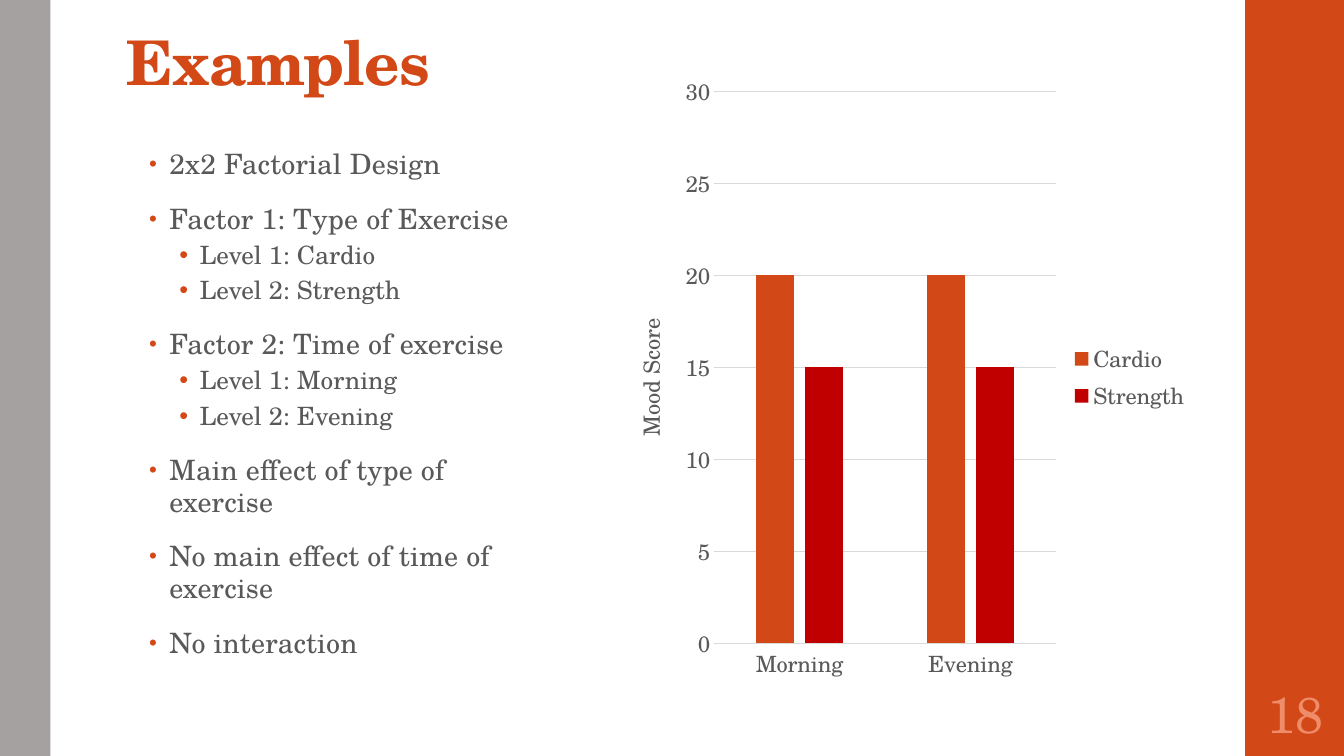
from dataclasses import dataclass

from lxml import etree
from pptx import Presentation
from pptx.chart.data import CategoryChartData
from pptx.dml.color import RGBColor
from pptx.enum.chart import XL_CHART_TYPE, XL_LEGEND_POSITION, XL_TICK_MARK
from pptx.enum.shapes import MSO_SHAPE
from pptx.enum.text import MSO_ANCHOR, MSO_AUTO_SIZE, PP_ALIGN
from pptx.oxml.ns import qn
from pptx.util import Inches, Pt

RECTANGLE = MSO_SHAPE.RECTANGLE
CLUSTERED = XL_CHART_TYPE.COLUMN_CLUSTERED
LEGEND_RIGHT = XL_LEGEND_POSITION.RIGHT
NO_TICK = XL_TICK_MARK.NONE
BOTTOM, MIDDLE, TOP = MSO_ANCHOR.BOTTOM, MSO_ANCHOR.MIDDLE, MSO_ANCHOR.TOP
CENTER = PP_ALIGN.CENTER
NO_FIT = MSO_AUTO_SIZE.NONE


@dataclass(frozen=True)
class Theme:
    font: str = "TeX Gyre Schola"
    accent: str = "D34817"
    red: str = "C00000"
    grey: str = "A6A1A1"
    text: str = "595959"
    rule: str = "D9D9D9"
    number: str = "EF8C6A"
    title_size: int = 44
    number_size: int = 36
    chart_size: int = 16


@dataclass(frozen=True)
class Area:
    left: float
    top: float
    width: float
    height: float


@dataclass(frozen=True)
class Band:
    area: Area
    color: str


@dataclass(frozen=True)
class Level:
    size: int
    indent: float
    line: float
    before: int
    after: int
    bullet_percent: int
    tracking: int


@dataclass(frozen=True)
class Point:
    text: str
    level: int = 0


@dataclass(frozen=True)
class Series:
    name: str
    values: tuple[int, ...]
    color: str


THEME = Theme()
BANDS = (
    Band(Area(12.35, 0, 1, 7.5), THEME.accent),
    Band(Area(0, 0, 0.5, 7.5), THEME.grey),
)
LEVELS = (
    Level(20, 0.2, 0.95, 14, 2, 80, 10),
    Level(18, 0.5, 0.9, 3, 3, 100, 0),
)
POINTS = (
    Point("2x2 Factorial Design"),
    Point("Factor 1: Type of Exercise"),
    Point("Level 1: Cardio", 1),
    Point("Level 2: Strength", 1),
    Point("Factor 2: Time of exercise"),
    Point("Level 1: Morning", 1),
    Point("Level 2: Evening", 1),
    Point("Main effect of type of exercise"),
    Point("No main effect of time of exercise"),
    Point("No interaction"),
)
TIMES = ("Morning", "Evening")
SERIES = (
    Series("Cardio", (20, 20), THEME.accent),
    Series("Strength", (15, 15), THEME.red),
)


def rgb(color: str) -> RGBColor:
    return RGBColor.from_string(color)


def style_font(font, size: int, color: str, bold: bool = False) -> None:
    font.name = THEME.font
    font.size = Pt(size)
    font.bold = bold
    font.color.rgb = rgb(color)


def place(box, area: Area) -> None:
    box.left, box.top = Inches(area.left), Inches(area.top)
    box.width, box.height = Inches(area.width), Inches(area.height)


def set_frame(frame, anchor, left: float, top: float, right: float, bottom: float) -> None:
    frame.word_wrap = True
    frame.auto_size = NO_FIT
    frame.vertical_anchor = anchor
    frame.margin_left, frame.margin_top = Inches(left), Inches(top)
    frame.margin_right, frame.margin_bottom = Inches(right), Inches(bottom)


def add_span(para, text: str, size: int, color: str, bold: bool = False, tracking: int = 0) -> None:
    span = para.add_run()
    span.text = text
    style_font(span.font, size, color, bold)
    span._r.get_or_add_rPr().set("spc", str(tracking))


def add_bullet(para, level: Level) -> None:
    properties = para._p.get_or_add_pPr()
    properties.set("marL", str(Inches(level.indent)))
    properties.set("indent", str(Inches(-0.2)))
    color = etree.SubElement(properties, qn("a:buClr"))
    etree.SubElement(color, qn("a:srgbClr"), val=THEME.accent)
    etree.SubElement(properties, qn("a:buSzPct"), val=str(level.bullet_percent * 1000))
    etree.SubElement(properties, qn("a:buFont"), typeface="Arial")
    etree.SubElement(properties, qn("a:buChar"), char="•")


def add_band(page, band: Band) -> None:
    box = page.shapes.add_shape(RECTANGLE, 0, 0, 0, 0)
    place(box, band.area)
    box.shadow.inherit = False
    box.fill.solid()
    box.fill.fore_color.rgb = rgb(band.color)
    box.line.fill.background()


def fill_title(page) -> None:
    box = page.shapes.title
    place(box, Area(1.15, -0.5, 10.6, 1.53))
    set_frame(box.text_frame, BOTTOM, 0.1, 0.03, 0.1, 0.05)
    para = box.text_frame.paragraphs[0]
    para.alignment = PP_ALIGN.LEFT
    para.line_spacing = 0.9
    add_span(para, "Examples", THEME.title_size, THEME.accent, True, -50)


def fill_body(page) -> None:
    box = page.placeholders[1]
    place(box, Area(1.38, 1.43, 4.22, 5.32))
    frame = box.text_frame
    set_frame(frame, TOP, 0.1, 0.05, 0.2, 0.05)
    for index, point in enumerate(POINTS):
        para = frame.add_paragraph() if index else frame.paragraphs[0]
        level = LEVELS[point.level]
        para.level = point.level
        para.line_spacing = level.line
        para.space_before, para.space_after = Pt(level.before), Pt(level.after)
        add_bullet(para, level)
        add_span(para, point.text, level.size, THEME.text, tracking=level.tracking)


def add_page_number(page) -> None:
    box = page.shapes.add_textbox(0, 0, 0, 0)
    place(box, Area(12.35, 6.75, 1, 0.65))
    set_frame(box.text_frame, MIDDLE, 0.05, 0.05, 0.05, 0.05)
    para = box.text_frame.paragraphs[0]
    para.alignment = CENTER
    add_span(para, "18", THEME.number_size, THEME.number)


def add_mood_chart(page) -> None:
    data = CategoryChartData()
    data.categories = TIMES
    for series in SERIES:
        data.add_series(series.name, series.values)
    box = page.shapes.add_chart(CLUSTERED, 0, 0, 0, 0, data)
    place(box, Area(6.05, 0.62, 5.85, 6.25))
    chart = box.chart
    chart.has_title = False
    style_font(chart.font, THEME.chart_size, THEME.text)
    chart.has_legend = True
    chart.legend.position = LEGEND_RIGHT
    chart.legend.include_in_layout = False
    style_font(chart.legend.font, THEME.chart_size, THEME.text)

    plot = chart.plots[0]
    plot.gap_width, plot.overlap = 219, -27
    plot.vary_by_categories = False
    for bars, series in zip(plot.series, SERIES):
        bars.format.fill.solid()
        bars.format.fill.fore_color.rgb = rgb(series.color)

    scores = chart.value_axis
    scores.minimum_scale, scores.maximum_scale, scores.major_unit = 0, 30, 5
    scores.format.line.fill.background()
    para = scores.axis_title.text_frame.paragraphs[0]
    span = para.add_run()
    span.text = "Mood Score"
    style_font(span.font, THEME.chart_size, THEME.text)
    for axis in (chart.category_axis, scores):
        axis.major_tick_mark = axis.minor_tick_mark = NO_TICK
        style_font(axis.tick_labels.font, THEME.chart_size, THEME.text)
    for line in (chart.category_axis.format.line, scores.major_gridlines.format.line):
        line.color.rgb = rgb(THEME.rule)
        line.width = Pt(0.75)


def main() -> None:
    deck = Presentation()
    deck.slide_width, deck.slide_height = Inches(13.33), Inches(7.5)
    page = deck.slides.add_slide(deck.slide_layouts[1])
    for band in BANDS:
        add_band(page, band)
    fill_title(page)
    fill_body(page)
    add_page_number(page)
    add_mood_chart(page)
    deck.save("out.pptx")


if __name__ == "__main__":
    main()
